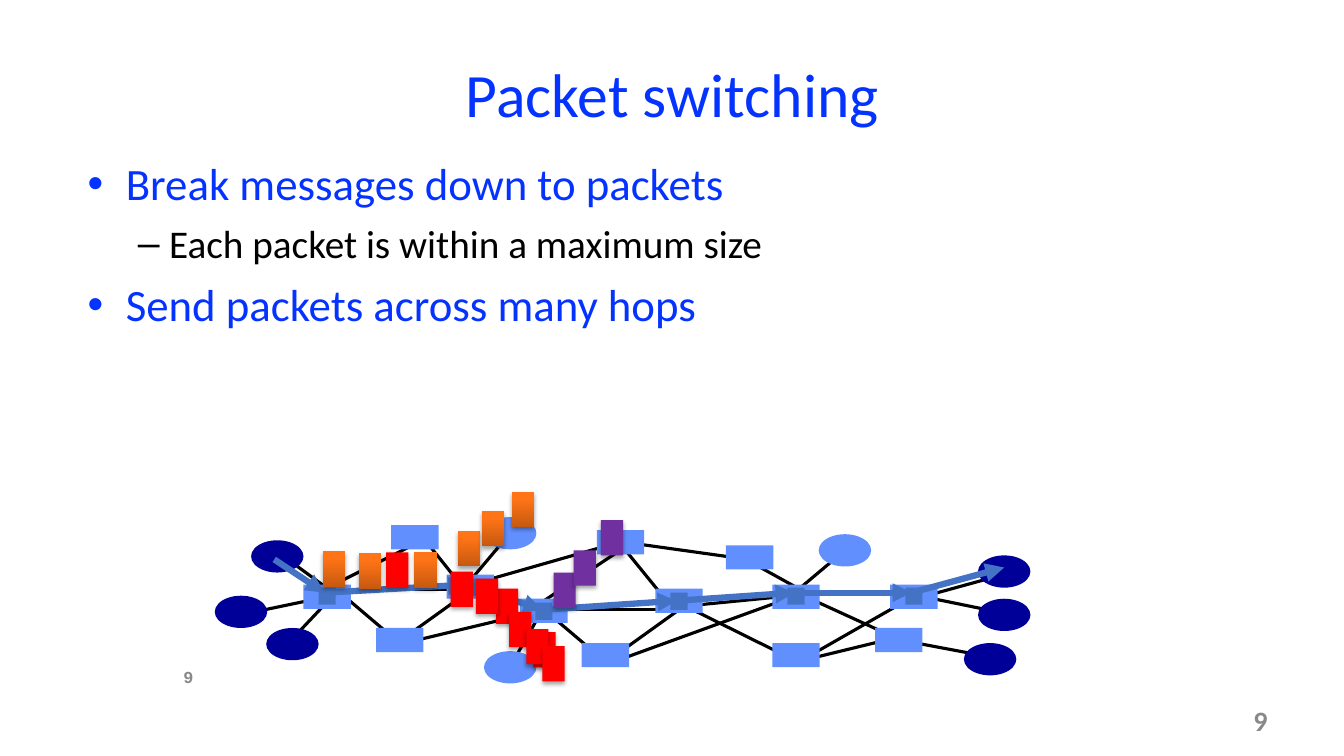
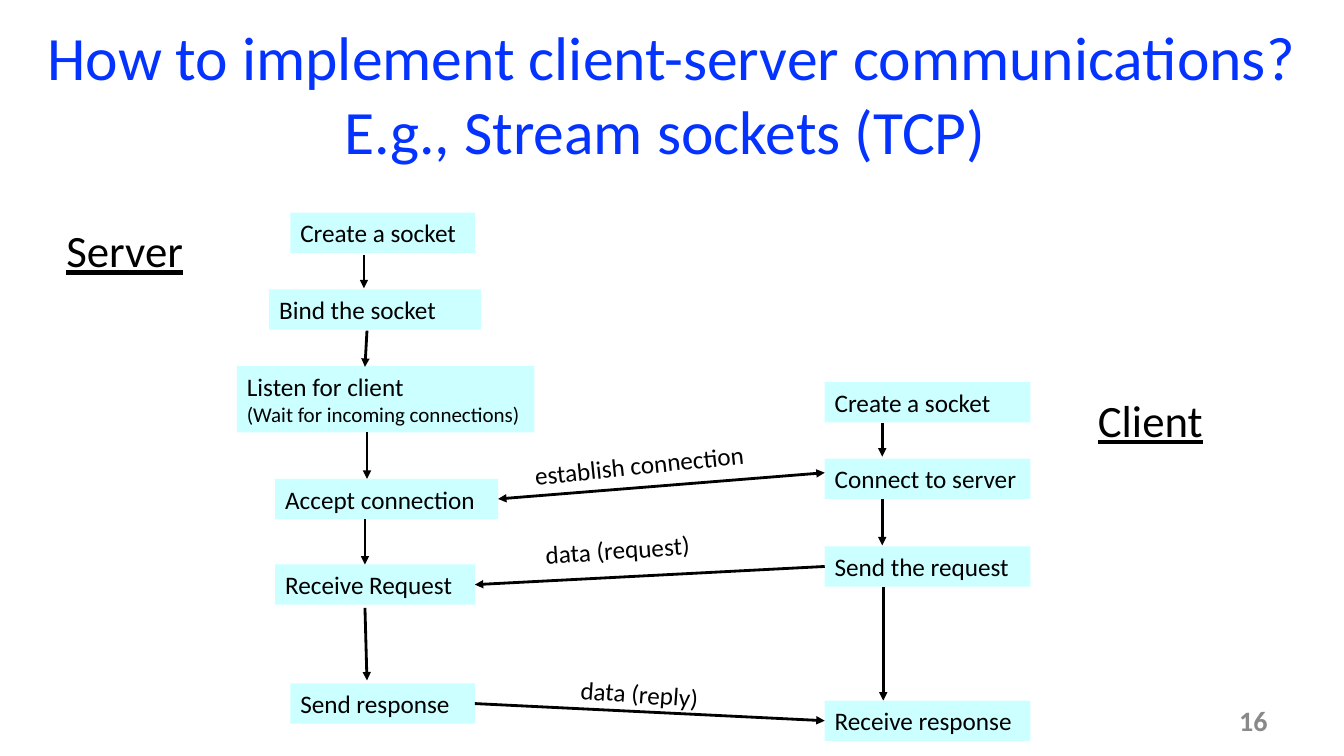
"""Build two networking slides: packet switching and stream sockets."""
import itertools

import lxml.etree
import pptx
import pptx.dml.color
import pptx.enum.shapes
import pptx.enum.text
import pptx.oxml.ns
import pptx.util

Pt = pptx.util.Pt
rgb = pptx.dml.color.RGBColor.from_string
qn = pptx.oxml.ns.qn
SHAPE = pptx.enum.shapes.MSO_SHAPE
ALIGN = pptx.enum.text.PP_ALIGN
ANCHOR = pptx.enum.text.MSO_ANCHOR

CELL = pptx.util.Inches(0.1)
COLS, ROWS = 133.3, 75
BLUE, BLACK, GRAY = "0432FF", "000000", "898989"
ROUTER, HOST, ROUTE, STEP = "618FFD", "000099", "4472C4", "CCFFFF"
ORANGE, DARK_ORANGE, RED, PURPLE = "FF7416", "C65910", "FF0000", "7030A0"


def add(slide, at, kind=None, fill=None, text="", size=18, color=BLACK, font="Calibri",
        bold=None, underline=None, align=ALIGN.LEFT, wrap=True):
    """Add a filled shape, or a text box when no kind is given, placed in grid cells."""
    box = [int(v * CELL) for v in at]
    if kind is None:
        s = slide.shapes.add_textbox(*box)
    else:
        s = slide.shapes.add_shape(kind, *box)
        s.shadow.inherit = False
        s.fill.solid()
        s.fill.fore_color.rgb = rgb(fill)
        s.line.fill.background()
    if text:
        tf = s.text_frame
        tf.text = text
        tf.word_wrap = wrap
        tf.vertical_anchor = ANCHOR.MIDDLE
        for p in tf.paragraphs:
            p.alignment = align
            for r in p.runs:
                r.font.name, r.font.size = font, Pt(size)
                r.font.bold, r.font.underline = bold, underline
                r.font.color.rgb = rgb(color)
    return s


def link(slide, start, end, color=BLACK, width=2, ends=("tailEnd",)):
    """Add a straight connector between two grid points, with arrowheads at the given ends."""
    c = slide.shapes.add_connector(pptx.enum.shapes.MSO_CONNECTOR.STRAIGHT,
                                   *[int(v * CELL) for v in (*start, *end)])
    c.line.color.rgb = rgb(color)
    c.line.width = Pt(width)
    spPr = c.element.spPr
    for name in ends:
        lxml.etree.SubElement(spPr.find(qn("a:ln")), qn("a:" + name), type="triangle")
    lxml.etree.SubElement(spPr, qn("a:effectLst"))
    return c


prs = pptx.Presentation()
prs.slide_width, prs.slide_height = int(COLS * CELL), int(ROWS * CELL)

slides = []
for title, left, width, number in [
    ("Packet switching", 6.7, 120, "9"),
    ("How to implement client-server communications?\vE.g., Stream sockets (TCP)\t", 0, COLS, "16"),
]:
    slide = prs.slides.add_slide(prs.slide_layouts[6])
    add(slide, (left, 3, width, 12.5), text=title, size=44, color=BLUE, align=ALIGN.CENTER)
    add(slide, (95.6, 69.5, 31.1, 4), text=number, size=20, color=GRAY, bold=True, align=ALIGN.RIGHT)
    slides.append(slide)
packets, sockets = slides

bullets = [
    ("Break messages down to packets", 0),
    ("Each packet is within a maximum size", 1),
    ("Send packets across many hops", 0),
]
tf = add(packets, (7.7, 15, 120, 49.5), text="\n".join(t for t, _ in bullets)).text_frame
tf.vertical_anchor = ANCHOR.TOP
levels = [("•", 3.8, -3.8, 32, BLUE), ("–", 8.1, -3.1, 28, BLACK)]
for i, (p, (_, level)) in enumerate(zip(tf.paragraphs, bullets)):
    char, margin, indent, size, color = levels[level]
    pPr = p._p.get_or_add_pPr()
    pPr.set("marL", str(int(margin * CELL)))
    pPr.set("indent", str(int(indent * CELL)))
    lxml.etree.SubElement(pPr, qn("a:buFont"), typeface="Arial")
    lxml.etree.SubElement(pPr, qn("a:buChar"), char=char)
    p.level = level
    p.space_before = Pt(size * 0.24 if i else 0)
    p.runs[0].font.size = Pt(size)
    p.runs[0].font.color.rgb = rgb(color)
add(packets, (17.2, 65.1, 23.3, 4), text="9", size=12, color=GRAY, font="Courier New", bold=True)

for x1, y1, x2, y2 in [
    (50.5, 53, 46.3, 58), (53.8, 60.5, 50.5, 66.3), (83.8, 54.6, 78.8, 58.8),
    (89.3, 63.5, 97.8, 65.1), (91.9, 59.1, 98.8, 57.2), (91.1, 59.1, 99.9, 60.9),
    (54.1, 60.6, 60.1, 65.7), (66.4, 60.5, 54.8, 60.5), (67.2, 60.6, 60.1, 65.7),
    (60.2, 65.9, 79.2, 59), (79.7, 59, 90.9, 59), (79.7, 59.1, 89.1, 63.4),
    (79.7, 65.4, 90.9, 59), (80.5, 65.3, 88.3, 63.4), (62.1, 53.6, 46, 58.2),
    (29.1, 55.9, 32.5, 58.4), (33.5, 58.6, 28.6, 63.8), (73.8, 55.4, 80.3, 59),
    (60.6, 53.6, 74.9, 55.6), (33.5, 58.6, 39.5, 63.7), (45.8, 58.5, 34.2, 58.5),
    (46.6, 58.6, 39.5, 63.7), (46.6, 58.6, 53.4, 60.2), (39.7, 63.9, 55.2, 60.2),
    (33.1, 58, 42.1, 53.5), (53.5, 59.9, 61.5, 54.6), (33.4, 59, 24.3, 60.9),
    (61.8, 54.3, 66.6, 60.2), (66.5, 59.4, 79.2, 65.7), (42.1, 53.5, 46, 58.4),
    (68.3, 60.1, 79.5, 59),
]:
    link(packets, (x1, y1), (x2, y2), width=2.25, ends=())

routers = [(30.1, 58), (37.3, 62.3), (88.3, 58), (76.6, 58), (76.6, 63.8), (65, 58.4), (59.2, 52.6),
           (57.7, 63.8), (72, 54.1), (44.3, 57), (51.6, 59.4), (38.8, 52.1), (86.8, 62.3)]
hosts = [(95.6, 63.8), (97, 59.4), (97, 55.1), (26.4, 62.3), (21.3, 59.1), (24.9, 53.6)]
hops = [(31.6, 58.3), (78.1, 58.3), (66.5, 58.8), (53.1, 59.8), (45.8, 57.4), (89.8, 58.3)]
for spots, kind, size, fill in [
    (routers, SHAPE.RECTANGLE, (4.7, 2.4), ROUTER),
    (hosts, SHAPE.OVAL, (5.2, 3.2), HOST),
    (hops, SHAPE.RECTANGLE, (1.7, 1.7), ROUTE),
]:
    for spot in spots:
        add(packets, spot + size, kind, fill)

route = [(27.2, 55.5), (32.2, 58.8), (46.3, 58), (53.8, 60.5), (67.1, 59.6), (78.8, 58.8),
         (90.4, 58.8), (99.6, 56.3)]
for start, end in itertools.pairwise(route):
    link(packets, start, end, ROUTE, 4.5)
for spot in [(48, 51.3), (48, 64.6), (81.2, 53)]:
    add(packets, spot + (5.2, 3.2), SHAPE.OVAL, ROUTER)

for fill, spots in [
    (ORANGE, [(35.6, 54.9), (41.1, 54.8), (32, 54.7), (45.4, 52.7), (47.8, 50.7), (50.8, 48.8)]),
    (RED, [(38.3, 54.8), (44.7, 56.7), (49.2, 58.4), (47.2, 57.4), (52.9, 62.7), (50.5, 60.7),
           (52.2, 62.4), (53.8, 64.1)]),
    (PURPLE, [(54.9, 56.8), (56.9, 54.6), (59.6, 51.6)]),
]:
    for spot in spots:
        s = add(packets, spot + (2.2, 3.5), SHAPE.RECTANGLE, fill)
        if fill == ORANGE:
            s.fill.gradient()
            s.fill.gradient_angle = 90
            for stop, color, position in zip(s.fill.gradient_stops, (DARK_ORANGE, ORANGE), (0, 0.8)):
                stop.color.rgb = rgb(color)
                stop.position = position
        shadow = lxml.etree.SubElement(
            s.element.spPr.find(qn("a:effectLst")), qn("a:outerShdw"),
            blurRad=str(Pt(3.1)), dist=str(Pt(1.8)), dir="5400000", rotWithShape="0")
        black = lxml.etree.SubElement(shadow, qn("a:srgbClr"), val=BLACK)
        lxml.etree.SubElement(black, qn("a:alpha"), val="35000")

steps = {}
for key, left, top, width, height, text in [
    ("create", 28.8, 21.1, 18.3, 4, "Create a socket"),
    ("bind", 26.7, 28.7, 21, 4, "Bind the socket"),
    ("listen", 23.5, 36.3, 29.5, 6.6, "Listen for client\n(Wait for incoming connections)"),
    ("accept", 27.3, 47.5, 22.1, 4, "Accept connection"),
    ("receive", 27.3, 56, 19.8, 4, "Receive Request"),
    ("respond", 28.8, 67.8, 18.3, 4, "Send response"),
    ("client create", 81.8, 37.9, 20.4, 4, "Create a socket"),
    ("connect", 81.8, 45.5, 20.4, 4, "Connect to server"),
    ("request", 81.8, 54.2, 20.4, 4, "Send the request"),
    ("reply", 81.8, 69.5, 20.4, 4, "Receive response"),
]:
    steps[key] = add(sockets, (left, top, width, height), SHAPE.RECTANGLE, STEP, text)
steps["listen"].text_frame.paragraphs[1].runs[0].font.size = Pt(15)

for x1, y1, x2, y2 in [
    (36.1, 25.3, 36.1, 28.6), (36.4, 32.8, 36.2, 36.4), (36.4, 42.9, 36.4, 47.5),
    (36.2, 51.5, 36.2, 56), (36.2, 60.3, 36.4, 67.5),
    (87.5, 42, 87.5, 45.3), (87.5, 49.5, 87.5, 54.1), (87.6, 58.2, 87.6, 69.5),
]:
    link(sockets, (x1, y1), (x2, y2))

c = link(sockets, (81.8, 46.9), (49.4, 49.5), ends=("headEnd", "tailEnd"))
c.end_connect(steps["accept"], 3)
for source, side, target, target_side in [("request", 1, "receive", 3), ("respond", 3, "reply", 1)]:
    c = link(sockets, (0, 0), (1, 1))
    c.begin_connect(steps[source], side)
    c.end_connect(steps[target], target_side)

for text, at, angle, wrap in [
    ("establish connection", (52, 44, 25, 4), 354, True),
    ("data (request)", (53.1, 52.5, 16.6, 4), 356, False),
    ("data (reply)", (56.6, 66.8, 13.9, 4), 4.1, False),
]:
    add(sockets, at, text=text, wrap=wrap).rotation = angle
for text, at in [("Server", (5.6, 21.6, 13.7, 6.4)), ("Client", (107.9, 38.4, 12.5, 6.4))]:
    add(sockets, at, text=text, size=32, underline=True, wrap=False)

prs.save("out.pptx")
